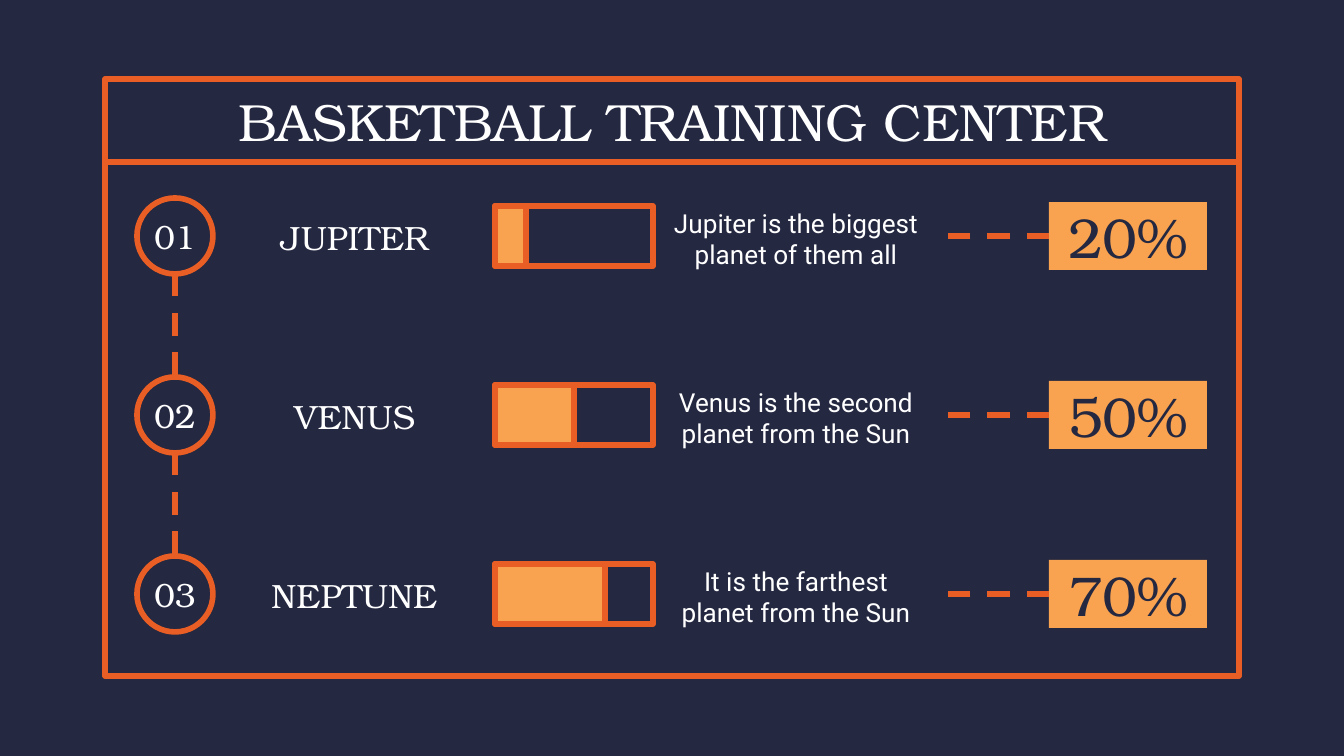
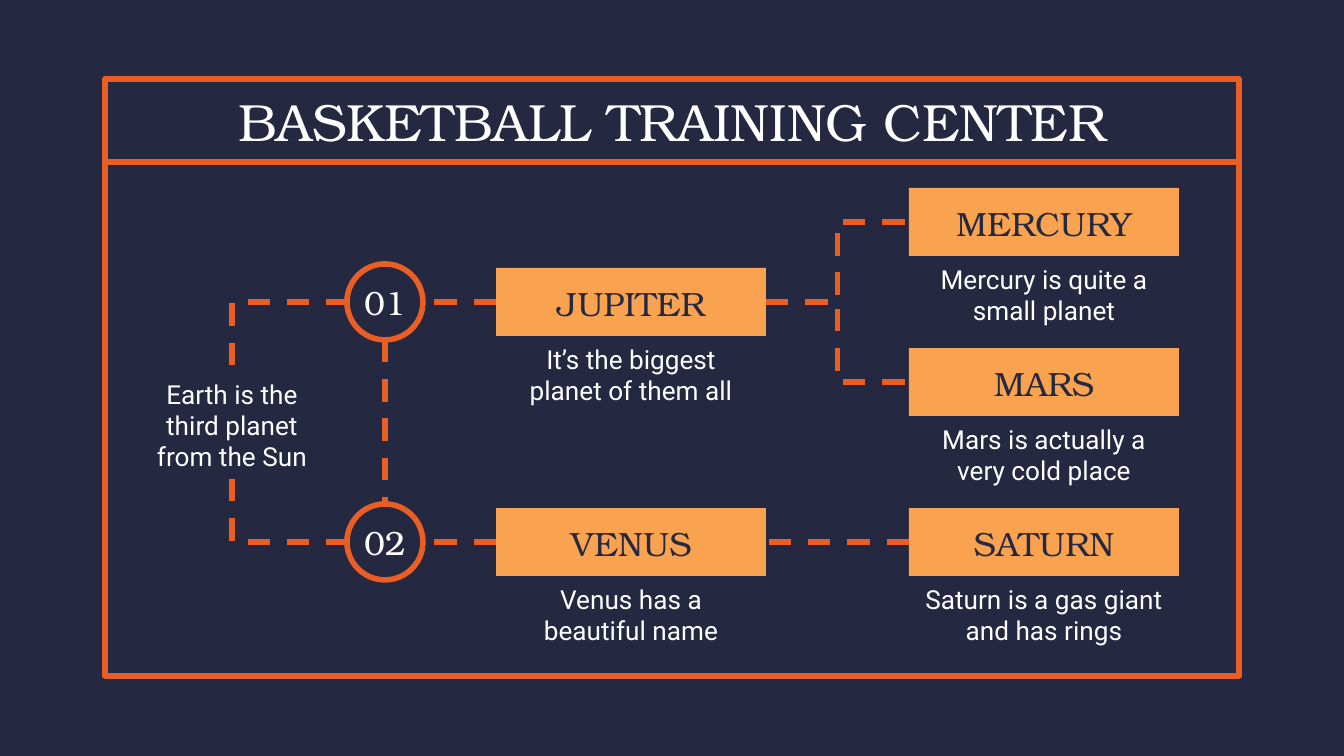
from dataclasses import dataclass

from lxml import etree
from pptx import Presentation, util as u
from pptx.dml.color import RGBColor
from pptx.enum import dml, shapes, text
from pptx.oxml.ns import qn

SCALE = 914400 / 134.4  # EMU per px


@dataclass(frozen=True)
class Theme:
    navy: str = "242841"
    orange: str = "E95E24"
    amber: str = "F9A350"
    white: str = "FFFFFF"
    serif: str = "TeX Gyre Bonum"
    sans: str = "Roboto"
    title: int = 28
    percent: int = 30
    label: int = 18
    body: int = 14
    stroke: int = 3


theme = Theme()
RECT, OVAL = shapes.MSO_SHAPE.RECTANGLE, shapes.MSO_SHAPE.OVAL
STRAIGHT, ELBOW = shapes.MSO_CONNECTOR.STRAIGHT, shapes.MSO_CONNECTOR.ELBOW
TOP, MIDDLE, BOTTOM = text.MSO_ANCHOR.TOP, text.MSO_ANCHOR.MIDDLE, text.MSO_ANCHOR.BOTTOM


def add_box(slide, kind, box, words="", size=theme.label, font=theme.serif,
            color=theme.white, fill=None, line=None, anchor=MIDDLE, after=0, side=13):
    """Add a preset shape, or a text box when kind is None."""
    place = [round(value * SCALE) for value in box]
    if kind is None:
        shape = slide.shapes.add_textbox(*place)
    else:
        shape = slide.shapes.add_shape(kind, *place)
        shape.shadow.inherit = False
    if fill:
        shape.fill.solid()
        shape.fill.fore_color.rgb = RGBColor.from_string(fill)
    else:
        shape.fill.background()
    if line:
        shape.line.color.rgb = RGBColor.from_string(line)
        shape.line.width = u.Pt(theme.stroke)
    else:
        shape.line.fill.background()
    if words:
        frame = shape.text_frame
        frame.word_wrap = True
        frame.vertical_anchor = anchor
        frame.margin_left = frame.margin_right = round(side * SCALE)
        frame.margin_top = frame.margin_bottom = round(13 * SCALE)
        frame.text = words
        paragraph = frame.paragraphs[0]
        paragraph.alignment = text.PP_ALIGN.CENTER
        paragraph.space_after = u.Pt(after)
        style = paragraph.runs[0].font
        style.name, style.size = font, u.Pt(size)
        style.color.rgb = RGBColor.from_string(color)
    return shape


def add_line(slide, kind, ends, dashed=True):
    connector = slide.shapes.add_connector(kind, *[round(value * SCALE) for value in ends])
    connector.line.color.rgb = RGBColor.from_string(theme.orange)
    connector.line.width = u.Pt(theme.stroke)
    if dashed:
        connector.line.dash_style = dml.MSO_LINE.DASH
    etree.SubElement(connector._element.spPr, qn("a:effectLst"))
    return connector


presentation = Presentation()
presentation.slide_width = round(1344 * SCALE)
presentation.slide_height = round(756 * SCALE)

# Shared background, frame and title
for _ in range(2):
    slide = presentation.slides.add_slide(presentation.slide_layouts[6])
    slide.background.fill.solid()
    slide.background.fill.fore_color.rgb = RGBColor.from_string(theme.navy)
    add_box(slide, RECT, (105, 79, 1134, 597), line=theme.orange)
    add_line(slide, STRAIGHT, (107, 162, 1237, 162), dashed=False)
    add_box(slide, None, (105, 79, 1134, 84), "BASKETBALL TRAINING CENTER", theme.title)

progress_slide, tree_slide = presentation.slides
RADIUS = 38
BOX_HEIGHT = 68

# Slide 1: one row per planet, with a progress bar
ROW_STEP = 179
BAR_WIDTH = 158
planets = [
    ("JUPITER", "Jupiter is the biggest planet of them all", 20),
    ("VENUS", "Venus is the second planet from the Sun", 50),
    ("NEPTUNE", "It is the farthest planet from the Sun", 70),
]
for index, (name, description, percent) in enumerate(planets):
    middle = 236 + index * ROW_STEP
    top = middle - BOX_HEIGHT // 2
    add_box(progress_slide, OVAL, (137, middle - RADIUS, 2 * RADIUS, 2 * RADIUS),
            f"{index + 1:02}", fill=theme.navy, line=theme.orange, side=0)
    if index < len(planets) - 1:
        add_line(progress_slide, STRAIGHT,
                 (175, middle + RADIUS, 175, middle + ROW_STEP - RADIUS))
    add_box(progress_slide, None, (214, top, 281, BOX_HEIGHT), name, anchor=BOTTOM, after=12)
    for width, fill in ((BAR_WIDTH, None), (BAR_WIDTH * percent // 100, theme.amber)):
        add_box(progress_slide, RECT, (495, middle - 30, width, 60),
                fill=fill, line=theme.orange)
    add_box(progress_slide, None, (652, middle - 42, 288, 84), description,
            theme.body, theme.sans, anchor=TOP)
    percent_box = add_box(progress_slide, RECT, (1049, top, 158, BOX_HEIGHT), f"{percent}%",
                          theme.percent, color=theme.navy, fill=theme.amber, after=12)
    add_line(progress_slide, STRAIGHT, (1049, middle, 941, middle)).begin_connect(percent_box, 1)

# Slide 2: planet cards on a grid of two columns
CARD_WIDTH = 270
LEFT_COLUMN, RIGHT_COLUMN = 496, 909
planet_cards = [
    ("JUPITER", "It’s the biggest planet of them all", LEFT_COLUMN, 1),
    ("VENUS", "Venus has a beautiful name", LEFT_COLUMN, 4),
    ("MERCURY", "Mercury is quite a small planet", RIGHT_COLUMN, 0),
    ("MARS", "Mars is actually a very cold place", RIGHT_COLUMN, 2),
    ("SATURN", "Saturn is a gas giant and has rings", RIGHT_COLUMN, 4),
]
cards = {}
for name, description, left, level in planet_cards:
    top = 188 + 80 * level
    cards[name] = add_box(tree_slide, RECT, (left, top, CARD_WIDTH, BOX_HEIGHT), name,
                          color=theme.navy, fill=theme.amber, anchor=BOTTOM, after=12)
    add_box(tree_slide, None, (left, top + 62, CARD_WIDTH, 84), description,
            theme.body, theme.sans, anchor=TOP)

# Links between cards
links = [
    (STRAIGHT, "SATURN", 1, "VENUS", 3),
    (ELBOW, "JUPITER", 3, "MERCURY", 1),
    (ELBOW, "JUPITER", 3, "MARS", 1),
]
for kind, start, start_side, end, end_side in links:
    link = add_line(tree_slide, kind, (0, 0, 0, 0))
    link.begin_connect(cards[start], start_side)
    link.end_connect(cards[end], end_side)

# Numbered circles, each linked to its card
CIRCLE_X = 385
UPPER, LOWER = 302, 542
for number, middle, name in (("01", UPPER, "JUPITER"), ("02", LOWER, "VENUS")):
    add_box(tree_slide, OVAL, (CIRCLE_X - RADIUS, middle - RADIUS, 2 * RADIUS, 2 * RADIUS),
            number, fill=theme.navy, line=theme.orange, side=0)
    link = add_line(tree_slide, STRAIGHT, (LEFT_COLUMN, middle, CIRCLE_X + RADIUS, middle))
    link.begin_connect(cards[name], 1)
add_line(tree_slide, STRAIGHT, (CIRCLE_X, UPPER + RADIUS, CIRCLE_X, LOWER - RADIUS))

# Earth note, with a corner link to each circle
EARTH_X, EARTH_TOP, EARTH_HEIGHT = 232, 365, 114
add_box(tree_slide, None, (EARTH_X - 90, EARTH_TOP, 180, EARTH_HEIGHT),
        "Earth is the third planet from the Sun", theme.body, theme.sans, anchor=TOP)
reach = CIRCLE_X - RADIUS - EARTH_X
for start, end in ((EARTH_TOP, UPPER), (EARTH_TOP + EARTH_HEIGHT, LOWER)):
    # The corner is laid out upright, then turned a quarter to the left
    rise = start - end
    center_x, center_y = EARTH_X + reach / 2, (start + end) / 2
    corner = add_line(tree_slide, ELBOW, (center_x - rise / 2, center_y - reach / 2,
                                          center_x + rise / 2, center_y + reach / 2))
    properties = corner._element.spPr
    properties.find(qn("a:xfrm")).set("rot", str(270 * 60000))
    properties.find(qn("a:prstGeom")).set("prst", "bentConnector2")

presentation.save("out.pptx")
